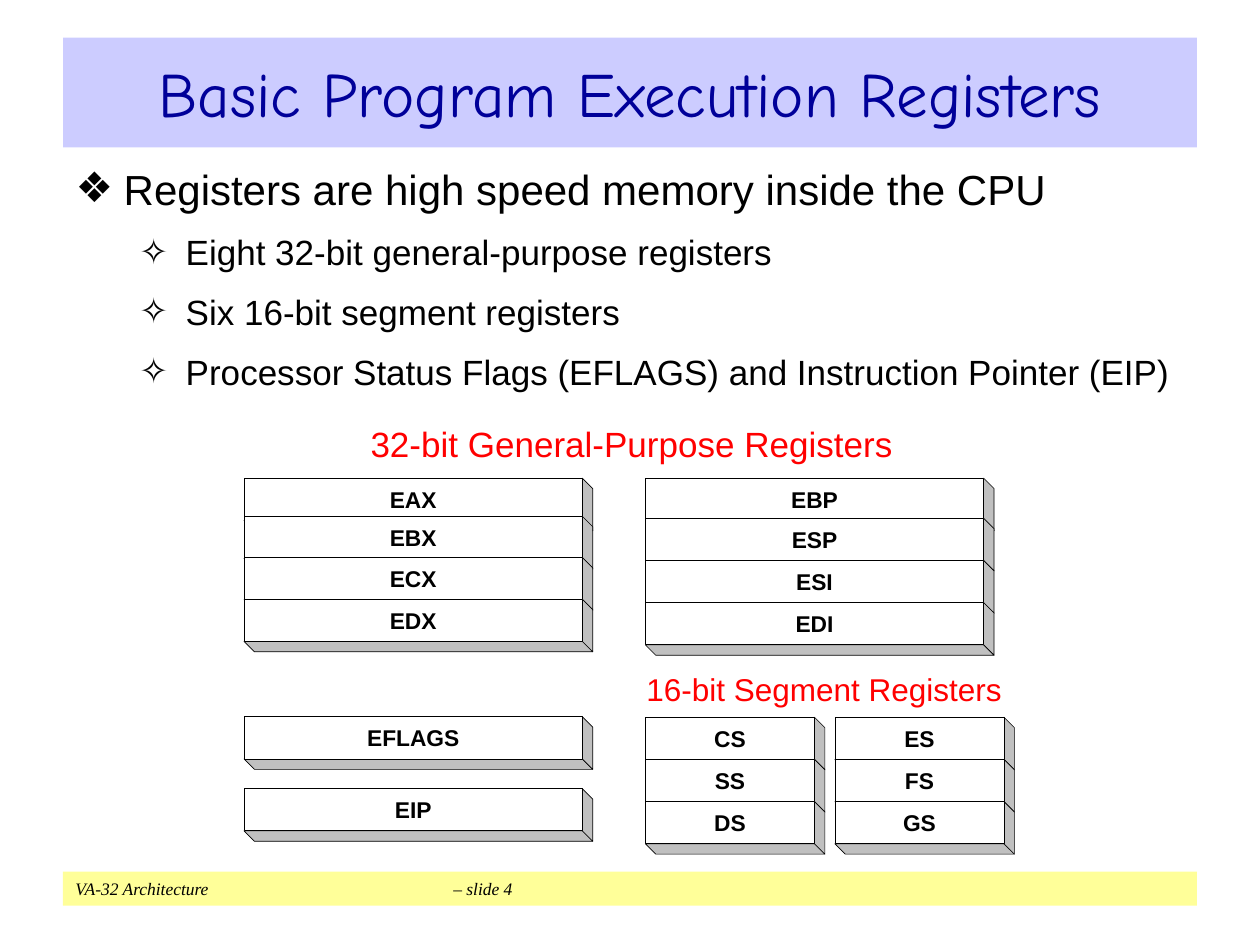
"""Build the slide on the basic program execution registers."""
import dataclasses
import pptx
import pptx.dml.color
import pptx.enum.shapes
import pptx.enum.text
import pptx.oxml
import pptx.oxml.ns
import pptx.util

Cm, Pt = pptx.util.Cm, pptx.util.Pt
RGB = pptx.dml.color.RGBColor.from_string
Anchor = pptx.enum.text.MSO_ANCHOR
Align = pptx.enum.text.PP_ALIGN
Fit = pptx.enum.text.MSO_AUTO_SIZE
RECT = pptx.enum.shapes.MSO_SHAPE.RECTANGLE


@dataclasses.dataclass
class Theme:
    ink: str = "000000"
    navy: str = "000099"
    red: str = "FF0000"
    face: str = "FFFFFF"
    edge: str = "C0C0C0"
    band: str = "CCCCFF"
    foot: str = "FFFF99"
    sans: str = "Arial"
    comic: str = "Comic Neue"
    serif: str = "Times New Roman"
    head: int = 36
    lead: int = 24
    point: int = 20
    minor: int = 18
    cell: int = 13
    small: int = 10


def style(line, size, color, name, bold=False, slant=False):
    for run in line.runs:
        font = run.font
        font.size, font.name = Pt(size), name
        font.bold, font.italic = bold, slant
        font.color.rgb = RGB(color)


def paint(shape, fill, line=None):
    shape.shadow.inherit = False
    shape.fill.solid()
    shape.fill.fore_color.rgb = RGB(fill)
    if line:
        shape.line.color.rgb = RGB(line)
        shape.line.width = Pt(0.37)
    else:
        shape.line.fill.background()


theme = Theme()
deck = pptx.Presentation()
deck.slide_width, deck.slide_height = Cm(25.4), Cm(19.05)
slide = deck.slides.add_slide(deck.slide_layouts[1])
space = pptx.oxml.ns.nsdecls("a")

title = slide.shapes.title
title.left, title.top, title.width, title.height = Cm(1.27), Cm(0.76), Cm(22.86), Cm(2.21)
paint(title, theme.band)
frame = title.text_frame
frame.text = "Basic Program Execution Registers"
frame.auto_size, frame.vertical_anchor = Fit.NONE, Anchor.MIDDLE
frame.paragraphs[0].alignment = Align.CENTER
style(frame.paragraphs[0], theme.head, theme.navy, theme.comic)

body = slide.placeholders[1]
body.left, body.top, body.width, body.height = Cm(1.27), Cm(3.16), Cm(22.86), Cm(14.3)
frame = body.text_frame
frame.auto_size = Fit.NONE
frame.text = "\n".join([
    "Registers are high speed memory inside the CPU",
    "Eight 32-bit general-purpose registers",
    "Six 16-bit segment registers",
    "Processor Status Flags (EFLAGS) and Instruction Pointer (EIP)",
])
for row, line in enumerate(frame.paragraphs):
    line.level = 1 if row else 0
    mark, left, hang, size, gap = (
        ("✧", 2.22, 0.94, theme.point, 10) if row else ("❖", 0.97, 0.97, theme.lead, 0))
    props = line._p.get_or_add_pPr()
    props.set("marL", str(Cm(left)))
    props.set("indent", str(-Cm(hang)))
    for item in (f'<a:buClr {space}><a:srgbClr val="{theme.ink}"/></a:buClr>',
                 f'<a:buChar {space} char="{mark}"/>'):
        props.append(pptx.oxml.parse_xml(item))
    line.space_before = Pt(gap)
    style(line, size, theme.ink, theme.sans)

foot = slide.shapes.add_shape(RECT, Cm(1.27), Cm(17.57), Cm(22.86), Cm(0.69))
paint(foot, theme.foot)
frame = foot.text_frame
frame.text = "VA-32 Architecture\t\t– slide 4"
frame.vertical_anchor = Anchor.MIDDLE
line = frame.paragraphs[0]
line.alignment = Align.LEFT
tabs = "".join(f'<a:tab pos="{Cm(stop)}" algn="l"/>' for stop in (5.08, 7.62))
line._p.get_or_add_pPr().append(pptx.oxml.parse_xml(f"<a:tabLst {space}>{tabs}</a:tabLst>"))
style(line, theme.small, theme.ink, theme.serif, slant=True)

chart = slide.shapes.add_group_shape().shapes
wide, half, tall, depth = 6.82, 3.41, 0.85, 0.21
stacks = [
    (4.92, wide, {"EAX": 9.64, "EBX": 10.41, "ECX": 11.24, "EDX": 12.08}),
    (13.01, wide, {"EBP": 9.64, "ESP": 10.45, "ESI": 11.3, "EDI": 12.15}),
    (4.92, wide, {"EFLAGS": 14.45, "EIP": 15.9}),
    (13.01, half, {"CS": 14.46, "SS": 15.31, "DS": 16.16}),
    (16.83, half, {"ES": 14.46, "FS": 15.31, "GS": 16.16}),
]
for left, width, cells in stacks:
    right = left + width
    for name, high in cells.items():
        low = high + tall
        base = [(right, low), (left, low), (left + depth, low + depth), (right + depth, low + depth)]
        side = [(right + depth, low + depth), (right, low), (right, high), (right + depth, high + depth)]
        for spots in (base, side):
            spots = [(Cm(x), Cm(y)) for x, y in spots]
            pen = chart.build_freeform(*spots[0])
            pen.add_line_segments(spots[1:], close=True)
            paint(pen.convert_to_shape(), theme.edge, theme.ink)
        face = chart.add_shape(RECT, Cm(left), Cm(high), Cm(width), Cm(tall))
        paint(face, theme.face, theme.ink)
        frame = face.text_frame
        frame.margin_left = frame.margin_right = frame.margin_top = frame.margin_bottom = 0
        frame.text = name
        frame.vertical_anchor = Anchor.MIDDLE
        frame.paragraphs[0].alignment = Align.CENTER
        style(frame.paragraphs[0], theme.cell, theme.ink, theme.sans, bold=True)

for text, left, top, width, height, size in [
    ("32-bit General-Purpose Registers", 7.47, 8.51, 10.8, 0.84, theme.point),
    ("16-bit Segment Registers", 13.03, 13.51, 7.6, 0.76, theme.minor),
]:
    frame = chart.add_textbox(Cm(left), Cm(top), Cm(width), Cm(height)).text_frame
    frame.margin_left = frame.margin_right = frame.margin_top = frame.margin_bottom = 0
    frame.word_wrap = True
    frame.text = text
    style(frame.paragraphs[0], size, theme.red, theme.sans)

deck.save("out.pptx")
